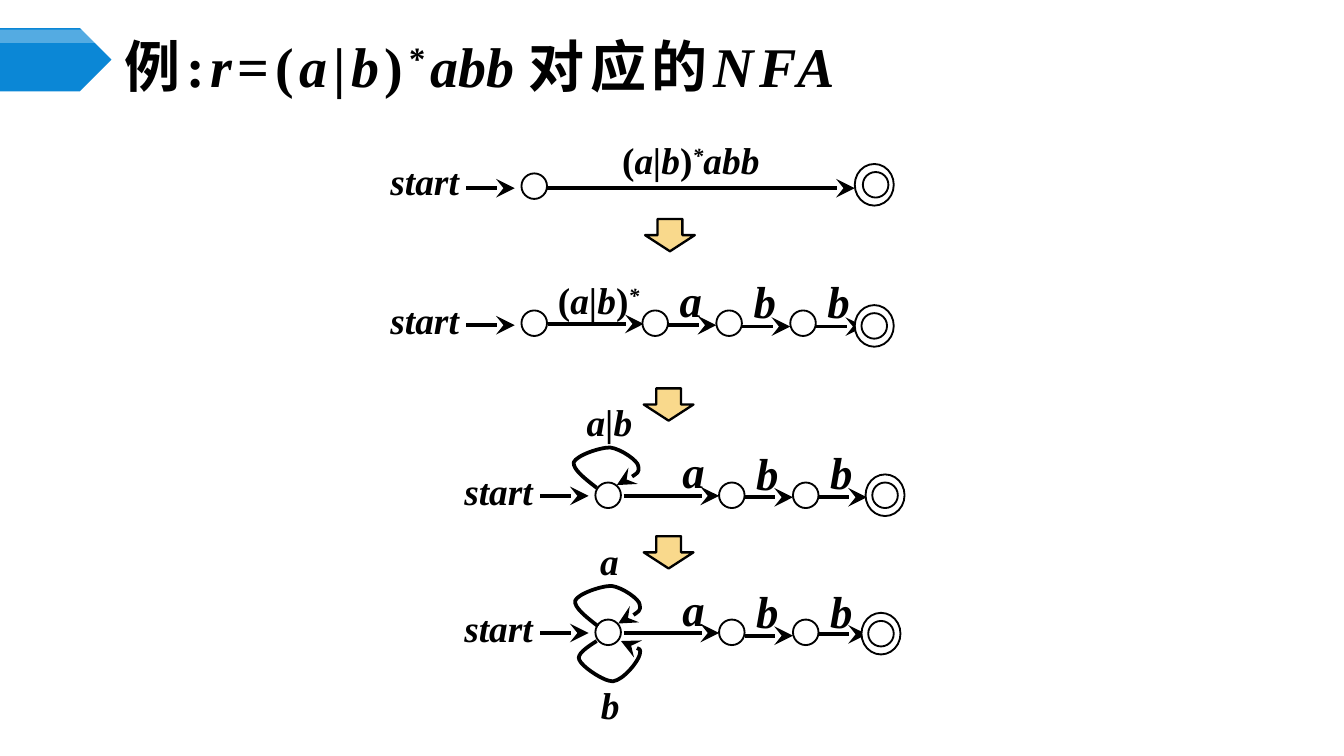
import pptx
import pptx.dml.color
import pptx.enum.shapes
import pptx.enum.text
import pptx.oxml
import pptx.oxml.ns
import pptx.util

SCALE = 9144  # EMU per px, 100 px to the inch
FONT = "Times New Roman"
COLORS = {"black": "000000", "white": "FFFFFF", "banner": "0B87D6", "step": "F9D98C"}
SHAPES = pptx.enum.shapes.MSO_SHAPE
STATE_SIZE = 19
ARROW_LENGTH = 36
ABB_PITCH = 55

# Runs are (text, italic, superscript)
TITLE = [("例:", False, False), ("r", True, False), ("=(", False, False),
         ("a", True, False), ("|", False, False), ("b", True, False),
         (")", False, False), ("*", False, True), ("abb ", True, False),
         ("对应的", False, False), ("NFA", True, False)]
START = [("start", True, False)]
STAR = [("a|b", True, False), (")", False, False), ("*", True, True)]

# Start point, then three points for each Bezier segment
UPPER_LOOP = [(17, 30), (8, 23), (-1, 16), (0, 11), (2, 6), (19, 0), (27, 0),
              (35, 1), (48, 10), (48, 14), (49, 19), (41, 24), (32, 28)]
LOWER_LOOP = [(14, 0), (6, 5), (-1, 10), (1, 14), (3, 19), (19, 30), (26, 30),
              (34, 29), (45, 15), (46, 10), (47, 5), (40, 3), (32, 0)]


def px(value):
    return pptx.util.Emu(value * SCALE)


def rgb(name):
    return pptx.dml.color.RGBColor.from_string(COLORS[name])


def make_element(tag, **attributes):
    element = pptx.oxml.parse_xml(f"<a:{tag} {pptx.oxml.ns.nsdecls('a')}/>")
    for key, value in attributes.items():
        element.set(key, value)
    return element


def add_text(shapes, box, runs, size, spacing=0):
    """Add one line of bold text, left-aligned, and return its box."""
    textbox = shapes.add_textbox(*map(px, box))
    frame = textbox.text_frame
    frame.word_wrap = True
    frame.vertical_anchor = pptx.enum.text.MSO_ANCHOR.MIDDLE
    for text, italic, superscript in runs:
        run = frame.paragraphs[0].add_run()
        run.text = text
        run.font.name = FONT
        run.font.size = pptx.util.Pt(size)
        run.font.bold = True
        run.font.italic = italic
        run.font.color.rgb = rgb("black")
        properties = run.font._element
        if superscript:
            properties.set("baseline", "30000")
        if spacing and text != "abb ":
            properties.set("spc", str(spacing * 100))
    return textbox


def add_label(shapes, left, top, runs, size=20, width=72):
    """Add centred text without insets or wrapping."""
    frame = add_text(shapes, (left, top, width, 34), runs, size).text_frame
    frame.word_wrap = False
    frame.margin_left = frame.margin_right = 0
    frame.margin_top = frame.margin_bottom = 0
    frame.paragraphs[0].alignment = pptx.enum.text.PP_ALIGN.CENTER


def add_preset(shapes, kind, box, fill, line_width=None):
    shape = shapes.add_shape(kind, *map(px, box))
    shape.shadow.inherit = False
    shape.fill.solid()
    shape.fill.fore_color.rgb = rgb(fill)
    if line_width is None:
        shape.line.fill.background()
    else:
        shape.line.color.rgb = rgb("black")
        shape.line.width = pptx.util.Pt(line_width)
    return shape


def style_arrow(shape):
    shape.line.color.rgb = rgb("black")
    shape.line.width = pptx.util.Pt(2)
    head = make_element("tailEnd", type="stealth", w="lg", len="lg")
    shape.line._get_or_add_ln().append(head)


def add_arrow(shapes, left, y, length=ARROW_LENGTH):
    connector = shapes.add_connector(
        pptx.enum.shapes.MSO_CONNECTOR.STRAIGHT,
        px(left), px(y), px(left + length), px(y))
    style_arrow(connector)
    connector._element.spPr.append(make_element("effectLst"))


def add_loop(shapes, left, top, points):
    """Draw a curved arrow whose points are relative to left and top."""
    placed = [(left + x, top + y) for x, y in points]
    builder = shapes.build_freeform(*placed[0], scale=SCALE)
    builder.add_line_segments(placed[1:], close=False)
    shape = builder.convert_to_shape()
    shape.shadow.inherit = False
    shape.fill.background()
    style_arrow(shape)
    segments = list(shape._element.iter(pptx.oxml.ns.qn("a:lnTo")))
    for first in range(0, len(segments), 3):
        curve = make_element("cubicBezTo")
        segments[first].addprevious(curve)
        for segment in segments[first:first + 3]:
            curve.append(segment[0])
            segment.getparent().remove(segment)


def add_state(shapes, left, top):
    add_preset(shapes, SHAPES.OVAL, (left, top, STATE_SIZE, STATE_SIZE), "white", 1)


def add_accepting_state(shapes, left, top, inset=5):
    add_preset(shapes, SHAPES.OVAL, (left, top, 29, 31), "white", 1)
    add_state(shapes, left + inset, top + 6)


def add_start(shapes, left, label_top, arrow_y):
    add_label(shapes, left, label_top, START)
    add_arrow(shapes, left + 67, arrow_y)


def add_abb_tail(shapes, left, label_tops, arrow_ys, first_start, state_top):
    """Draw the a, b, b arrows with their labels and the two states between them."""
    for index, letter in enumerate("abb"):
        label_left = left + index * ABB_PITCH
        end = label_left + STATE_SIZE + ARROW_LENGTH
        start = end - ARROW_LENGTH if index else first_start
        add_label(shapes, label_left, label_tops[index], [(letter, True, False)], 24)
        add_arrow(shapes, start, arrow_ys[index], end - start)
    for index in (1, 2):
        add_state(shapes, left + index * ABB_PITCH, state_top)


def add_single_edge_nfa(shapes):
    add_state(shapes, 388, 129)
    add_arrow(shapes, 407, 140, 229)
    add_label(shapes, 460, 102,
              [("(", False, False)] + STAR + [("abb", True, False)], width=108)
    add_start(shapes, 280, 117, 140)
    add_accepting_state(shapes, 636, 122, 6)


def add_chain_nfa(shapes):
    add_start(shapes, 280, 221, 242)
    add_label(shapes, 406, 206, [(" (", False, False)] + STAR)
    add_arrow(shapes, 408, 241, 71)
    add_abb_tail(shapes, 478, (206, 207, 207), (242, 243, 243), 497, 231)
    for left in (388, 478):
        add_state(shapes, left, 231)
    add_accepting_state(shapes, 636, 227)


def add_loop_nfa(shapes, top, symbol, label_tops, arrow_ys, accepting, loop):
    """Draw an automaton whose first state, at top, loops on a symbol."""
    add_start(shapes, 335, top - 11, top + 10)
    add_label(shapes, 414, top - 62 + (symbol == "a"),
              [(" ", False, False), (symbol, True, False)])
    add_abb_tail(shapes, 480, label_tops, arrow_ys, 464, top)
    add_state(shapes, 443, top)
    add_loop(shapes, *loop, UPPER_LOOP)
    add_accepting_state(shapes, *accepting)


def add_banner(shapes):
    add_preset(shapes, SHAPES.PENTAGON, (0, 21, 83, 47), "banner")
    gloss = add_preset(shapes, SHAPES.PENTAGON, (0, 22, 83, 10), "white")
    color = gloss._element.spPr.find(".//" + pptx.oxml.ns.qn("a:srgbClr"))
    color.append(make_element("alpha", val="30000"))


def main():
    presentation = pptx.Presentation()
    presentation.slide_width = px(1000)
    presentation.slide_height = px(1000) * 9 // 16
    slide = presentation.slides.add_slide(presentation.slide_layouts[6])

    def new_group():
        return slide.shapes.add_group_shape().shapes

    add_text(slide.shapes, (83, 29, 867, 39), TITLE, 30, spacing=3)
    add_banner(new_group())
    add_single_edge_nfa(new_group())
    add_chain_nfa(new_group())
    add_loop_nfa(new_group(), 359, "a|b", (333, 335, 334), (369, 370, 370),
                 (644, 353), (427, 333))
    final = new_group()
    add_loop_nfa(final, 461, "a", (436, 437, 437), (471, 473, 472),
                 (641, 456), (428, 436))
    add_loop(final, 430, 477, LOWER_LOOP)
    add_label(final, 418, 507, [("b", True, False)])
    for left, top in ((480, 163), (479, 289), (479, 399)):
        add_preset(slide.shapes, SHAPES.DOWN_ARROW, (left, top, 37, 24), "step", 1.25)
    presentation.save("out.pptx")


if __name__ == "__main__":
    main()
